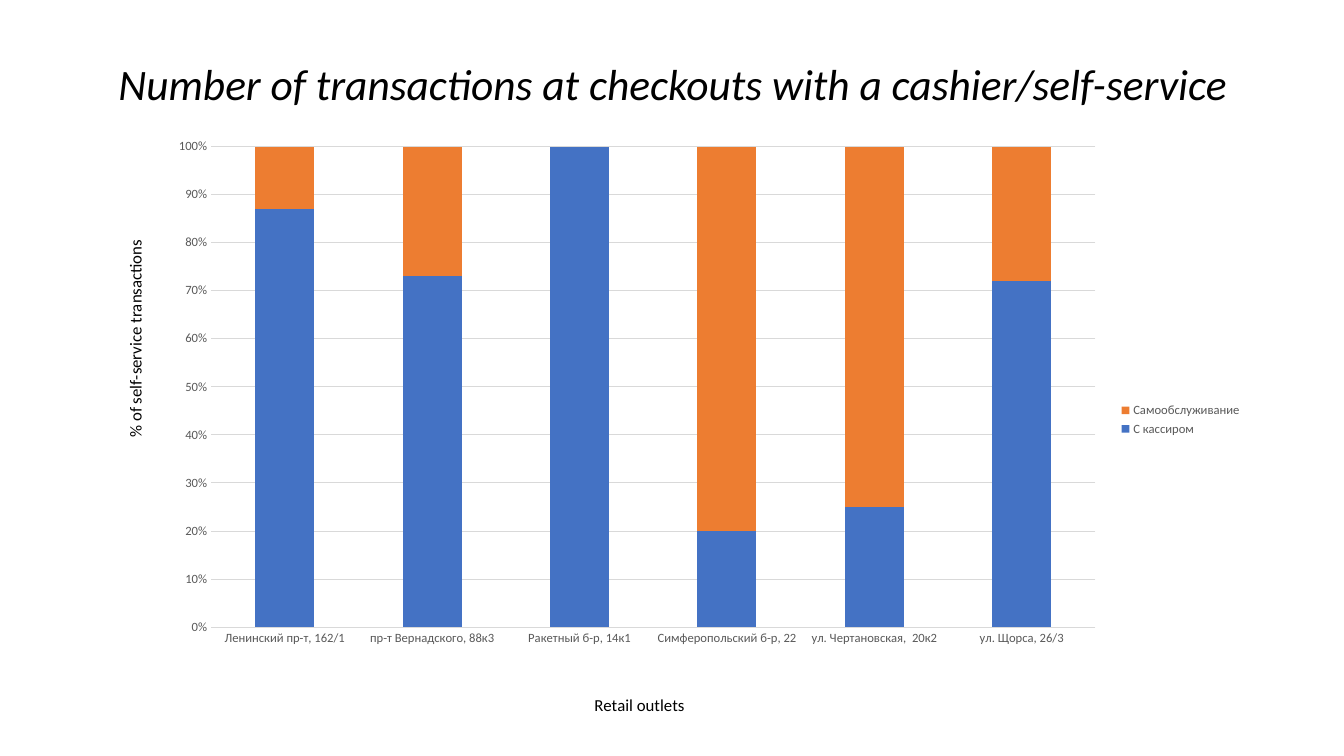
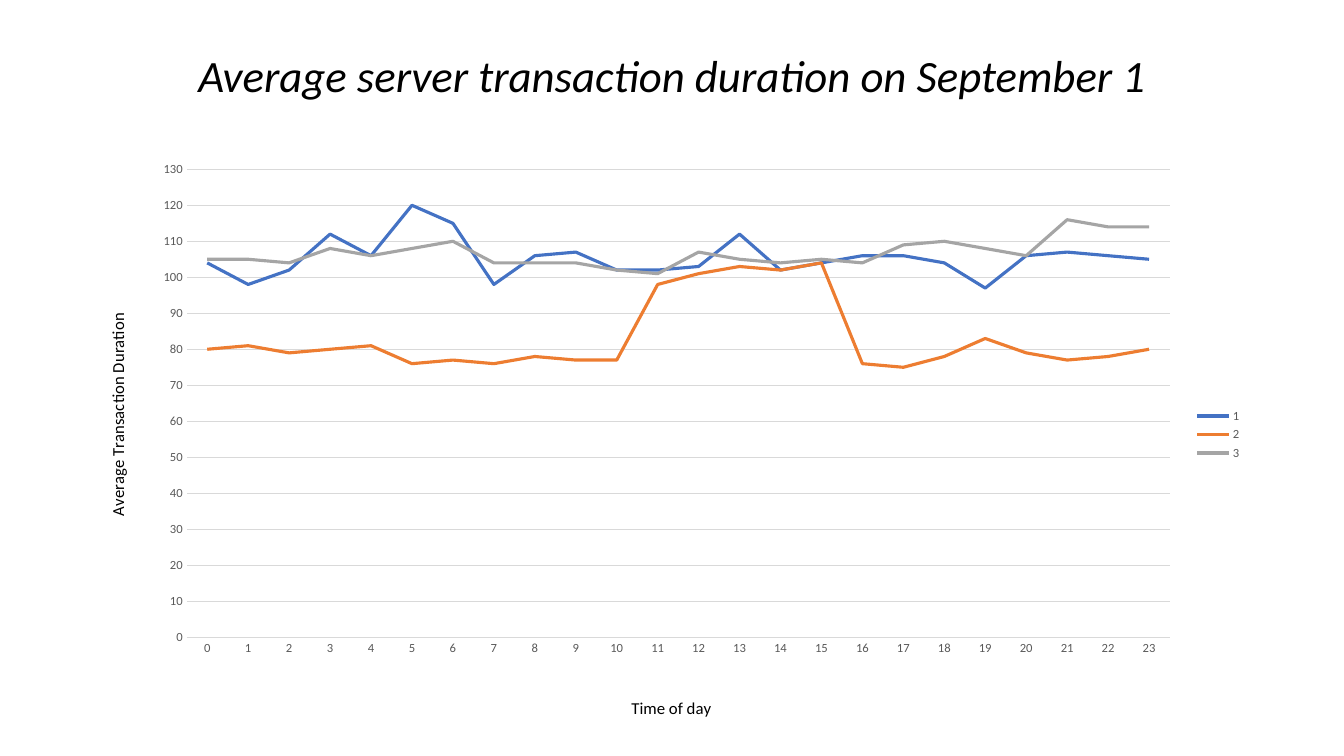
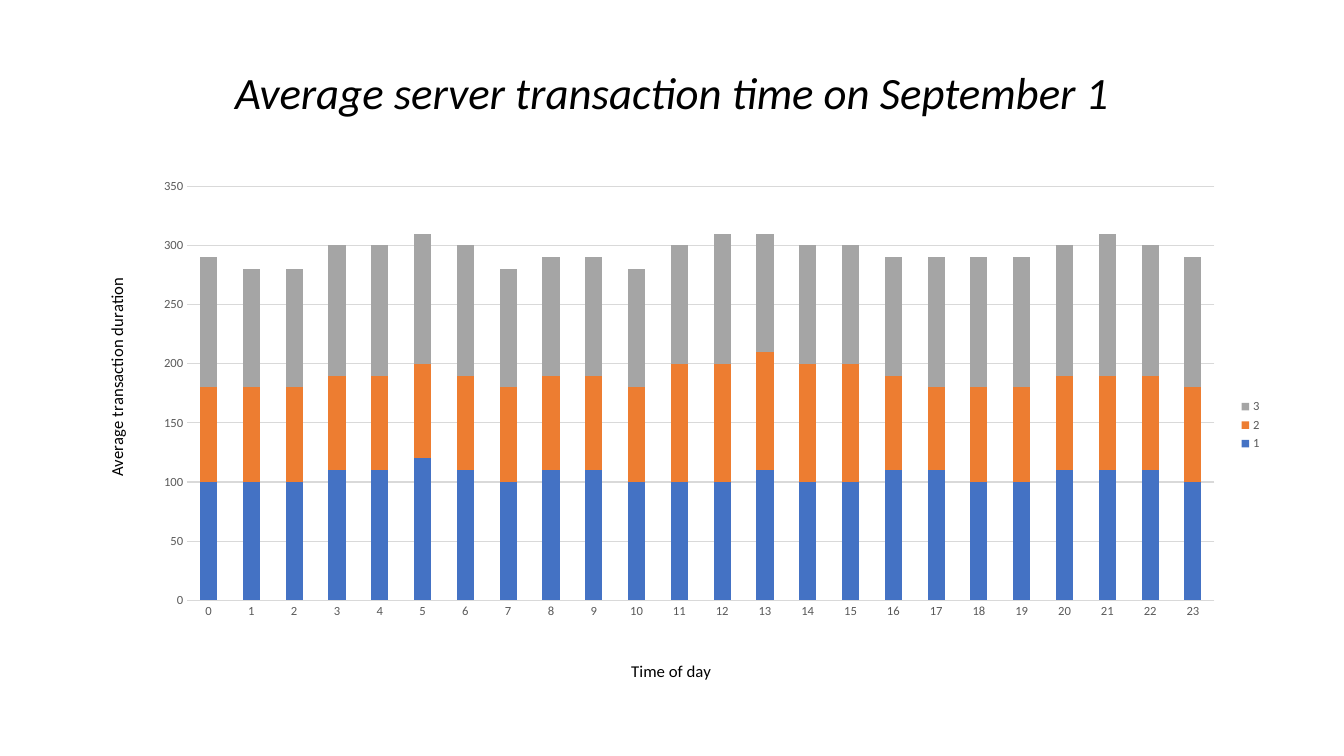
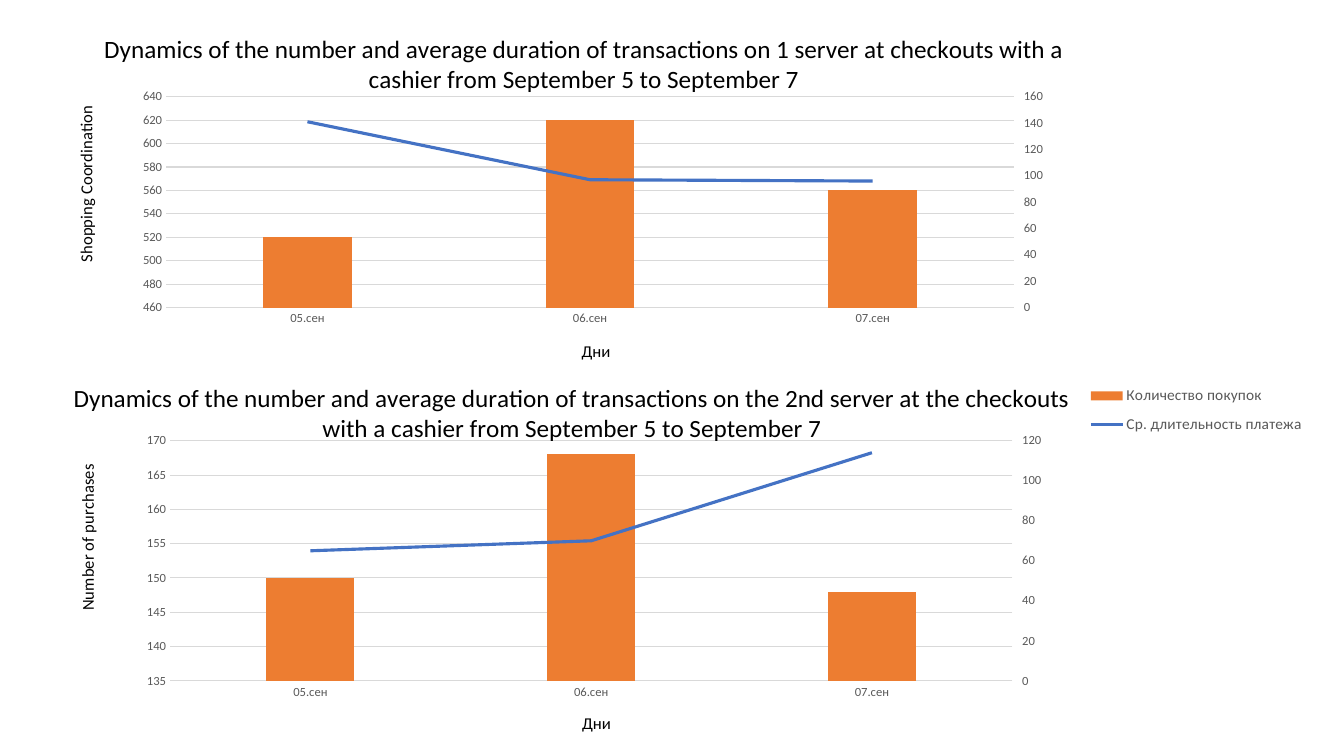
from copy import deepcopy

from lxml import etree
from pptx import Presentation
from pptx import util as u
from pptx.chart import axis as axes
from pptx.chart import data as chart_data
from pptx.dml import color
from pptx.enum import chart as kinds
from pptx.enum import text
from pptx.oxml import ns

FONT = "Calibri"
BLACK, GREY, RULE = "000000", "595959", "D9D9D9"
BLUE, ORANGE, SILVER = "4472C4", "ED7D31", "A5A5A5"
TYPE = kinds.XL_CHART_TYPE
HOURS = [str(hour) for hour in range(24)]
DAYS = ["05.сен", "06.сен", "07.сен"]
OUTLETS = ["Ленинский пр-т, 162/1", "пр-т Вернадского, 88к3", "Ракетный б-р, 14к1",
           "Симферопольский б-р, 22", "ул. Чертановская,  20к2", "ул. Щорса, 26/3"]

TITLED = [
    dict(title="Number of transactions at checkouts with a cashier/self-service",
         title_at=(2.34, 1.17, 29.21, 2.03), size=31,
         at=(2.34, 2.79, 29.21, 15.57), kind=TYPE.COLUMN_STACKED_100, cats=OUTLETS,
         series=[("С кассиром", BLUE, [87, 73, 100, 20, 25, 72]),
                 ("Самообслуживание", ORANGE, [13, 27, None, 80, 75, 28])],
         overlap=100, number_format="0%", plot=(10.2, 5.8, 76.3, 77.8), legend=(),
         bottom=("Retail outlets", (43, 93.8)),
         left=("% of self-service transactions", (2.4, 20.4))),
    dict(title="Average server transaction duration on September 1",
         title_at=(2.34, 0.81, 29.21, 2.29), size=32,
         at=(2.34, 3.81, 29.21, 14.43), kind=TYPE.LINE, cats=HOURS,
         series=[("1", BLUE, [104, 98, 102, 112, 106, 120, 115, 98, 106, 107, 102, 102,
                              103, 112, 102, 104, 106, 106, 104, 97, 106, 107, 106, 105]),
                 ("2", ORANGE, [80, 81, 79, 80, 81, 76, 77, 76, 78, 77, 77, 98,
                                101, 103, 102, 104, 76, 75, 78, 83, 79, 77, 78, 80]),
                 ("3", SILVER, [105, 105, 104, 108, 106, 108, 110, 104, 104, 104, 102, 101,
                                107, 105, 104, 105, 104, 109, 110, 108, 106, 116, 114, 114])],
         scale=(0, 130, 10), plot=(8.1, 3.2, 84.8, 82.6), legend=(),
         bottom=("Time of day", (46.2, 95.8)),
         left=("Average Transaction Duration", (0.9, 28.4))),
    dict(title="Average server transaction time on September 1",
         title_at=(2.34, 1.02, 29.21, 2.74), size=32,
         at=(2.34, 4.27, 29.72, 13.03), kind=TYPE.COLUMN_STACKED, cats=HOURS,
         series=[("1", BLUE, [100, 100, 100, 110, 110, 120, 110, 100, 110, 110, 100, 100,
                              100, 110, 100, 100, 110, 110, 100, 100, 110, 110, 110, 100]),
                 ("2", ORANGE, [80, 80, 80, 80, 80, 80, 80, 80, 80, 80, 80, 100,
                                100, 100, 100, 100, 80, 70, 80, 80, 80, 80, 80, 80]),
                 ("3", SILVER, [110, 100, 100, 110, 110, 110, 110, 100, 100, 100, 100, 100,
                                110, 100, 100, 100, 100, 110, 110, 110, 110, 120, 110, 110])],
         overlap=100, scale=(0, 350, 50), plot=(8, 3.3, 87.1, 81), legend=(),
         bottom=("Time of day", (45.4, 95.3)),
         left=("Average transaction duration", (0.8, 21))),
]

SERVERS = [
    dict(heading=("Dynamics of the number and average duration of transactions on the 2nd server "
                  "at the checkouts with a cashier from September 5 to September 7", (2.8, 2.7)),
         at=(0.84, 9.22, 32.21, 9.4), kind=TYPE.COLUMN_CLUSTERED, cats=DAYS,
         series=[("Количество покупок", ORANGE, [150, 168, 148]),
                 ("Ср. длительность платежа", BLUE, [65, 70, 114])],
         gap=219, scale=(135, 170, 5), right_scale=(0, 120, 20),
         plot=(10.7, 20.4, 65.9, 65.4), legend=(82.5, 3, 17, 18), legend_size=11,
         bottom=("Дни", (42.7, 93.5)),
         left=("Number of purchases", (3.1, 26.6)),
         right=("Cf. Payment duration", (81.4, 31.1))),
    dict(heading=("Dynamics of the number and average duration of transactions on 1 server "
                  "at checkouts with a cashier from September 5 to September 7", (5.2, 3))
         , at=(0.84, 0.43, 32.18, 8.81), kind=TYPE.COLUMN_CLUSTERED, cats=DAYS,
         series=[("Series 1", ORANGE, [520, 620, 560]),
                 ("Series 2", BLUE, [141, 97, 96])],
         gap=219, overlap=-27, scale=(460, 640, 20), right_scale=(0, 160, 20),
         plot=(10.4, 23.1, 66.4, 61.1),
         bottom=("Дни", (42.7, 92.7)),
         left=("Shopping Coordination", (3, 25.4)),
         right=("Cf. Payment duration", (81.4, 32))),
]


def rgb(value):
    return color.RGBColor.from_string(value)


def style(font, size, ink, italic=False):
    font.name, font.size, font.bold, font.italic = FONT, u.Pt(size), False, italic
    font.color.rgb = rgb(ink)


def write(frame, words, size=12, ink=BLACK, italic=False, spacing=None):
    frame.text = words
    line = frame.paragraphs[0]
    line.alignment = text.PP_ALIGN.CENTER
    line.line_spacing = spacing
    style(line.runs[0].font, size, ink, italic)


def stroke(line, ink, width):
    line.color.rgb = rgb(ink)
    line.width = u.Pt(width)


def child(parent, tag, value=None):
    node = etree.SubElement(parent, ns.qn("c:" + tag))
    if value is not None:
        node.set("val", str(value))
    return node


def place(part, percents, inner=False):
    for old in part.findall(ns.qn("c:layout")):
        part.remove(old)
    layout = child(part, "layout")
    before = [n for n in part if n.tag in (ns.qn("c:tx"), ns.qn("c:legendPos"))]
    part.insert(len(before), layout)
    manual = child(layout, "manualLayout")
    if inner:
        child(manual, "layoutTarget", "inner")
    for key in "xy":
        child(manual, key + "Mode", "edge")
    for key, percent in zip("xywh", percents):
        child(manual, key, round(percent / 100, 3))


def name_axis(axis, words, percents, turned=False):
    title = axis.axis_title
    write(title.text_frame, words)
    if turned:
        body = title.text_frame._txBody.bodyPr
        body.set("rot", "-5400000")
        body.set("vert", "horz")
    place(title._element, percents)


def set_scale(axis, limits):
    axis.minimum_scale, axis.maximum_scale, axis.major_unit = limits


def format_axes(chart, spec_):
    bottom, left = chart.category_axis, chart.value_axis
    for axis in (bottom, left):
        axis.major_tick_mark = axis.minor_tick_mark = kinds.XL_TICK_MARK.NONE
        style(axis.tick_labels.font, 9, GREY)
    stroke(bottom.format.line, RULE, 0.75)
    left.format.line.fill.background()
    left.has_major_gridlines = True
    stroke(left.major_gridlines.format.line, RULE, 0.75)
    left.tick_labels.number_format = spec_.get("number_format", "General")
    left.tick_labels.number_format_is_linked = False
    if "scale" in spec_:
        set_scale(left, spec_["scale"])


def add_right_axis(chart, words, percents, limits):
    area = chart._chartSpace.chart.plotArea
    bars = area.find(ns.qn("c:barChart"))
    duration = bars.findall(ns.qn("c:ser"))[1]
    for flag in duration.findall(ns.qn("c:invertIfNegative")):
        duration.remove(flag)
    lines = child(area, "lineChart")
    bars.addnext(lines)
    child(lines, "grouping", "standard")
    child(lines, "varyColors", 0)
    lines.append(duration)
    child(lines, "marker", 1)
    ids = {"c:catAx": "50010", "c:valAx": "50020"}
    for number in ids.values():
        child(lines, "axId", number)
    copies = {}
    for tag, crossing in (("c:valAx", "c:catAx"), ("c:catAx", "c:valAx")):
        extra = copies[tag] = deepcopy(area.find(ns.qn(tag)))
        area.findall(ns.qn("c:valAx"))[-1].addnext(extra)
        extra.find(ns.qn("c:axId")).set("val", ids[tag])
        extra.find(ns.qn("c:crossAx")).set("val", ids[crossing])
    copies["c:catAx"].find(ns.qn("c:delete")).set("val", "1")
    copies["c:valAx"].find(ns.qn("c:axPos")).set("val", "r")
    copies["c:valAx"].find(ns.qn("c:crosses")).set("val", "max")
    right = axes.ValueAxis(copies["c:valAx"])
    right.has_major_gridlines = False
    right.major_tick_mark = kinds.XL_TICK_MARK.OUTSIDE
    set_scale(right, limits)
    name_axis(right, words, percents, turned=True)


def add_graph(slide, spec_):
    figures = chart_data.CategoryChartData()
    figures.categories = spec_["cats"]
    for name, ink, values in spec_["series"]:
        figures.add_series(name, values)
    chart = slide.shapes.add_chart(spec_["kind"], *map(u.Cm, spec_["at"]), figures).chart
    style(chart.font, 10, BLACK)
    chart.has_title = "heading" in spec_
    if chart.has_title:
        words, percents = spec_["heading"]
        write(chart.chart_title.text_frame, words, size=18)
        place(chart.chart_title._element, percents)
    chart.has_legend = "legend" in spec_
    if chart.has_legend:
        chart.legend.position = kinds.XL_LEGEND_POSITION.RIGHT
        chart.legend.include_in_layout = False
        style(chart.legend.font, spec_.get("legend_size", 9), GREY)
        if spec_["legend"]:
            place(chart.legend._element, spec_["legend"])
    format_axes(chart, spec_)
    if "right" in spec_:
        add_right_axis(chart, *spec_["right"], spec_["right_scale"])
    name_axis(chart.category_axis, *spec_["bottom"])
    name_axis(chart.value_axis, *spec_["left"], turned=True)
    place(chart._chartSpace.chart.plotArea, spec_["plot"], inner=True)
    inks = iter([ink for name, ink, values in spec_["series"]])
    for plot in chart.plots:
        plot.vary_by_categories = False
        is_line = plot._element.tag == ns.qn("c:lineChart")
        if not is_line:
            plot.gap_width = spec_.get("gap", 150)
            plot.overlap = spec_.get("overlap", 0)
        for series, ink in zip(plot.series, inks):
            if is_line:
                stroke(series.format.line, ink, 2.25)
                series.marker.style = kinds.XL_MARKER_STYLE.NONE
                series.smooth = False
            else:
                series.format.fill.solid()
                series.format.fill.fore_color.rgb = rgb(ink)


def add_title(slide, words, at, size):
    title = slide.shapes.title
    title.left, title.top, title.width, title.height = map(u.Cm, at)
    write(title.text_frame, words, size=size, italic=True, spacing=0.9)
    title.text_frame.vertical_anchor = text.MSO_ANCHOR.MIDDLE


def main():
    deck = Presentation()
    deck.slide_width, deck.slide_height = u.Cm(33.87), u.Cm(19.05)
    for topic in TITLED:
        slide = deck.slides.add_slide(deck.slide_layouts[5])
        add_title(slide, topic["title"], topic["title_at"], topic["size"])
        add_graph(slide, topic)
    servers = deck.slides.add_slide(deck.slide_layouts[6])
    for server in SERVERS:
        add_graph(servers, server)
    deck.save("out.pptx")


if __name__ == "__main__":
    main()
